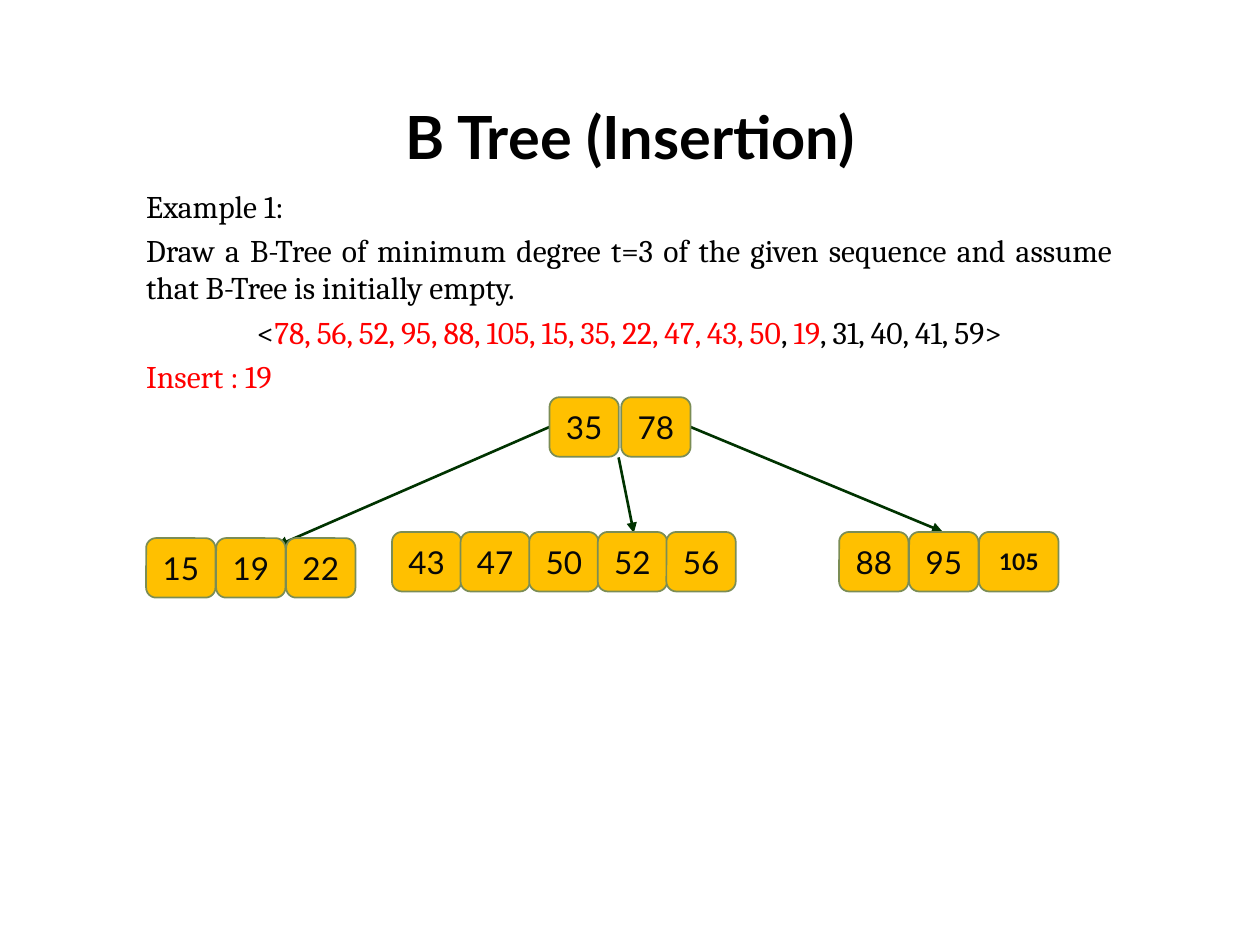
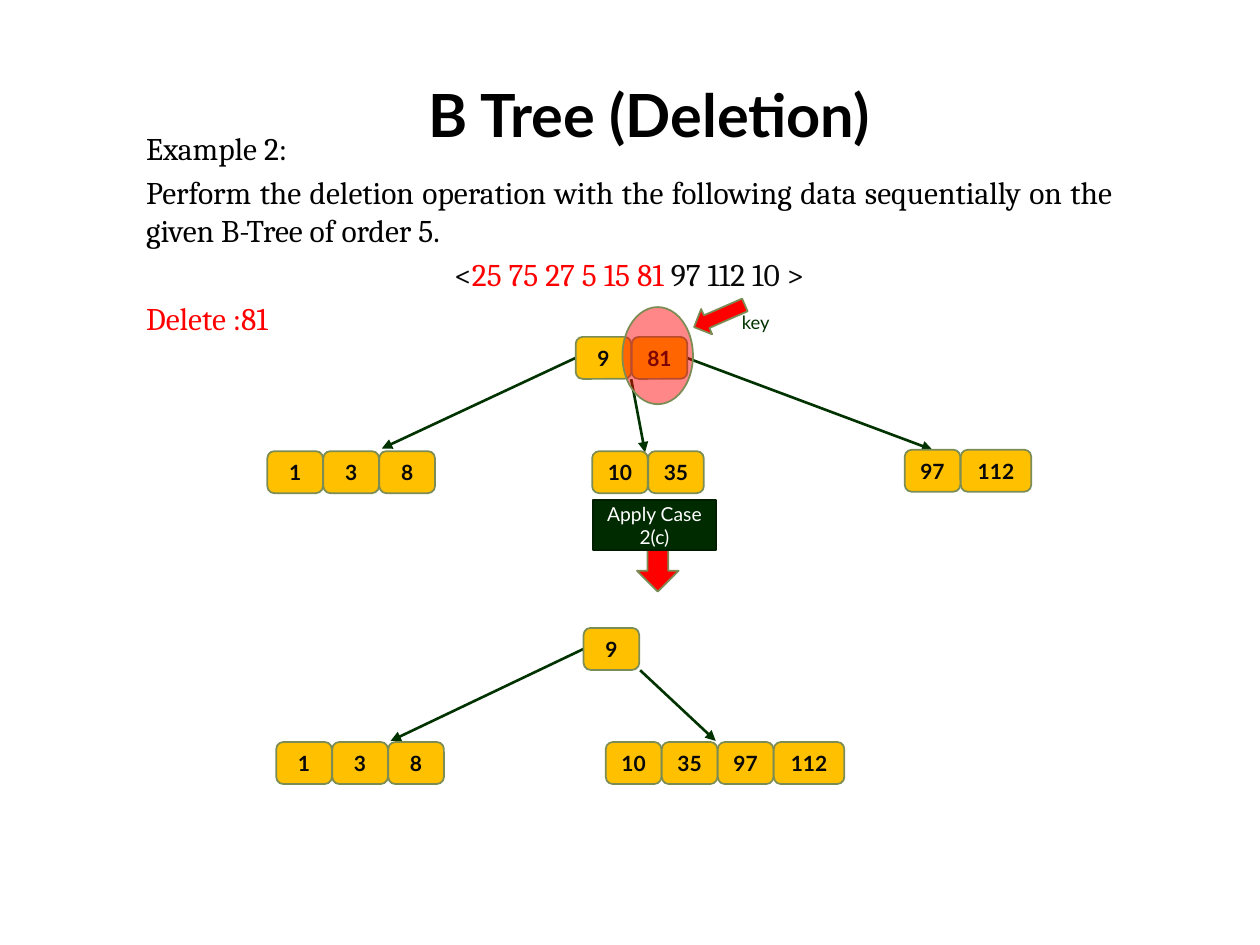
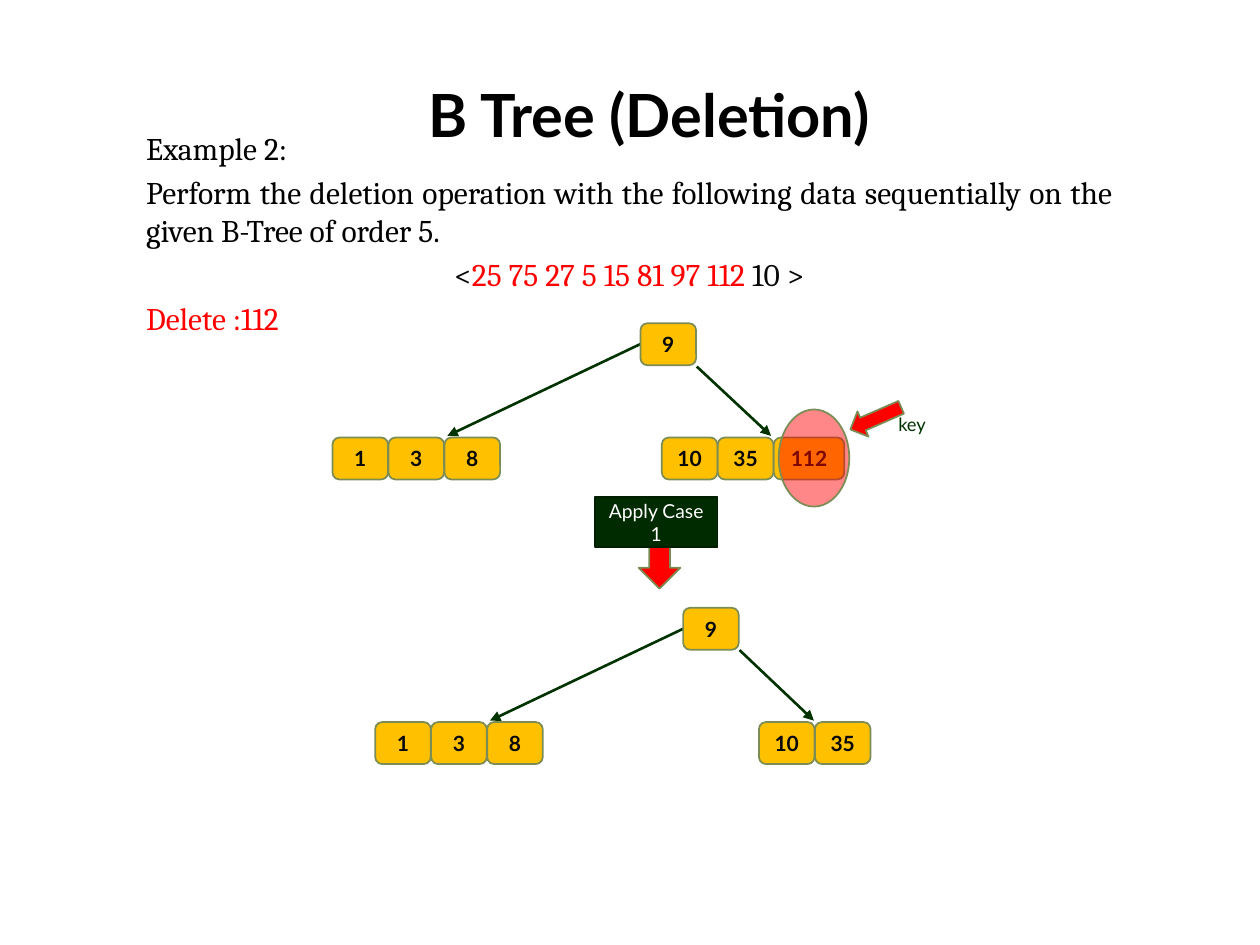
import lxml.etree
import pptx
import pptx.util
import pptx.dml.color
import pptx.enum.shapes
import pptx.enum.text
import pptx.oxml.ns

Pt = pptx.util.Pt
qn = pptx.oxml.ns.qn
colour = pptx.dml.color.RGBColor.from_string
SHAPE = pptx.enum.shapes.MSO_SHAPE
ALIGN = pptx.enum.text.PP_ALIGN
ANCHOR = pptx.enum.text.MSO_ANCHOR

# Shared look
HEAD_FONT, BODY_FONT = "Lato", "Cambria"
BLACK, INK, RED, WHITE = "000000", "080808", "FF0000", "FFFFFF"
GOLD, OLIVE, GREEN = "FFC000", "7B8D55", "003300"
CASE_FILL, CASE_LINE = "002A00", "001F00"


def add_span(para, text, font, size, hex_colour, bold=False):
    span = para.add_run()
    span.text = text
    span.font.name = font
    span.font.size = Pt(size)
    span.font.bold = bold
    span.font.color.rgb = colour(hex_colour)


def add_shape(page, kind, left, top, width, height, fill, line=OLIVE):
    shape = page.shapes.add_shape(kind, Pt(left), Pt(top), Pt(width), Pt(height))
    shape.shadow.inherit = False
    shape.fill.solid()
    shape.fill.fore_color.rgb = colour(fill)
    shape.line.color.rgb = colour(line)
    shape.line.width = Pt(1)
    shape.text_frame.vertical_anchor = ANCHOR.MIDDLE
    shape.text_frame.paragraphs[0].alignment = ALIGN.CENTER
    return shape


# Cell styles: width, width of three digits, height, size, size of three digits, bold
LARGE = (39.6, 45.4, 34, 18, 13, False)
SMALL = (31.8, 40.3, 24, 12, 12, True)
DELETION = ("Example 2:", "Perform the deletion operation with the following data "
            "sequentially on the given B-Tree of order 5.")

# Nodes: left, top, pitch, keys. Links: from x, from y, to x, to y.
pages = [
    {
        "title": ("B Tree (Insertion)", 36, 49), "body": (103, 365),
        "intro": ("Example 1:", "Draw a B-Tree of minimum degree t=3 of the given "
                  "sequence and assume that B-Tree is initially empty."),
        "sequence": [("<", BLACK),
                     ("78, 56, 52, 95, 88, 105, 15, 35, 22, 47, 43, 50", RED),
                     (", ", BLACK), ("19", RED), (", 31, 40, 41, 59>", BLACK)],
        "step": "Insert : 19", "cell": LARGE,
        "nodes": [(314, 227, 41, "35 78"), (83.5, 307.5, 40, "15 19 22"),
                  (224, 304, 39.2, "43 47 50 52 56"), (479.5, 304, 40, "88 95 105")],
        "links": [(314, 244, 158.4, 311.8), (353.5, 261.4, 362.2, 304.6),
                  (394.6, 244, 538.6, 303.8)],
    },
    {
        "title": ("B Tree (Deletion)", 47, 36.7), "body": (70, 134),
        "intro": DELETION,
        "sequence": [("<", INK), ("25 75 27 5 15 81", RED), (" 97 112 10 >", INK)],
        "step": "Delete :81", "cell": SMALL,
        "nodes": [(329, 192.5, 32, "9 81"), (152.8, 257.8, 32, "1 3 8"),
                  (338.4, 257.8, 32, "10 35"), (517, 257, 32, "97 112"),
                  (333.5, 358.8, 32, "9"), (157.9, 424, 32, "1 3 8"),
                  (346.2, 424, 32, "10 35 97 112")],
        "links": [(329, 204.5, 218.2, 256.3), (360.7, 216.7, 368.6, 258.5),
                  (392.4, 204.5, 532.8, 257),
                  (333.5, 370.8, 223.2, 423.4), (365.8, 383, 409, 423.4)],
        "marker": (355.7, 175.5), "case": ("Apply Case 2(c)", 339, 285.5),
    },
    {
        "title": ("B Tree (Deletion)", 47, 36.7), "body": (70, 134),
        "intro": DELETION,
        "sequence": [("<", INK), ("25 75 27 5 15 81 97 112", RED), (" 10 >", INK)],
        "step": "Delete :112", "cell": SMALL,
        "nodes": [(366, 184.7, 32, "9"), (190, 250, 32, "1 3 8"),
                  (378.2, 250, 32, "10 35 112"),
                  (390.4, 347.3, 32, "9"), (214.4, 412.6, 32, "1 3 8"),
                  (433.7, 412.6, 32, "10 35")],
        "links": [(366, 196.6, 255.6, 249.1), (398.2, 209.5, 440.6, 249.1),
                  (390.4, 359.3, 280, 411.8), (422.6, 371.5, 465.1, 411.8)],
        "marker": (445, 234), "case": ("Apply Case 1", 340, 283.8),
    },
]

deck = pptx.Presentation()
deck.slide_width, deck.slide_height = Pt(720), Pt(540)

for content in pages:
    page = deck.slides.add_slide(deck.slide_layouts[1])

    # Title
    text, left, top = content["title"]
    title = page.shapes.title
    title.left, title.top, title.width, title.height = Pt(left), Pt(top), Pt(648), Pt(57)
    title.text_frame.auto_size = pptx.enum.text.MSO_AUTO_SIZE.NONE
    title.text_frame.vertical_anchor = ANCHOR.MIDDLE
    para = title.text_frame.paragraphs[0]
    para.alignment = ALIGN.CENTER
    add_span(para, text, HEAD_FONT, 34, BLACK, True)

    # Task text
    top, height = content["body"]
    body = page.placeholders[1]
    body.left, body.top, body.width, body.height = Pt(76.3), Pt(top), Pt(566.7), Pt(height)
    frame = body.text_frame
    frame.auto_size = pptx.enum.text.MSO_AUTO_SIZE.NONE
    paragraphs = [(ALIGN.JUSTIFY, [(line, BLACK)]) for line in content["intro"]]
    paragraphs.append((ALIGN.CENTER, content["sequence"]))
    paragraphs.append((ALIGN.LEFT, [(content["step"], RED)]))
    for index, (alignment, spans) in enumerate(paragraphs):
        para = frame.add_paragraph() if index else frame.paragraphs[0]
        para.alignment = alignment
        para.space_before = Pt(3.6 if index else 0)
        properties = para._p.get_or_add_pPr()
        properties.set("marL", "0")
        properties.set("indent", "0")
        lxml.etree.SubElement(properties, qn("a:buNone"))
        for text, hex_colour in spans:
            add_span(para, text, BODY_FONT, 18, hex_colour)

    # Links from parent to child
    for x1, y1, x2, y2 in content["links"]:
        link = page.shapes.add_connector(pptx.enum.shapes.MSO_CONNECTOR.STRAIGHT,
                                         Pt(x1), Pt(y1), Pt(x2), Pt(y2))
        link.line.color.rgb = colour(GREEN)
        link.line.width = Pt(1.5)
        outline = link.element.spPr.find(qn("a:ln"))
        lxml.etree.SubElement(outline, qn("a:tailEnd"), type="triangle")
        lxml.etree.SubElement(link.element.spPr, qn("a:effectLst"))

    # Tree nodes, one cell per key
    width, wide, height, size, wide_size, bold = content["cell"]
    for left, top, pitch, keys in content["nodes"]:
        for column, key in enumerate(keys.split()):
            long = len(key) == 3
            cell = add_shape(page, SHAPE.ROUNDED_RECTANGLE, left + column * pitch, top,
                             wide if long else width, height, GOLD)
            add_span(cell.text_frame.paragraphs[0], key, HEAD_FONT,
                     wide_size if long else size, INK, bold or long)

    # Marker on the key to delete
    if "marker" in content:
        left, top = content["marker"]
        halo = add_shape(page, SHAPE.OVAL, left, top, 40.3, 55.5, RED)
        halo_colour = halo.element.spPr.find(qn("a:solidFill"))[0]
        lxml.etree.SubElement(halo_colour, qn("a:alpha"), val="47000")
        pointer = add_shape(page, SHAPE.LEFT_ARROW, left + 39.6, top - 2.8, 31.7, 15.8, RED)
        pointer.rotation = 336.4
        label = page.shapes.add_textbox(Pt(left + 61.2), Pt(top - 1.3), Pt(33.2), Pt(20))
        label.text_frame.word_wrap = True
        add_span(label.text_frame.paragraphs[0], "key", HEAD_FONT, 10.5, GREEN)

    # Case applied, with an arrow to the resulting tree
    if "case" in content:
        text, left, top = content["case"]
        arrow = add_shape(page, SHAPE.RIGHT_ARROW, left + 22.5, top + 26.3, 28.8, 23.8, RED)
        arrow.rotation = 90
        case = add_shape(page, SHAPE.RECTANGLE, left, top, 70, 29, CASE_FILL, CASE_LINE)
        add_span(case.text_frame.paragraphs[0], text, HEAD_FONT, 11, WHITE)

deck.save("out.pptx")
